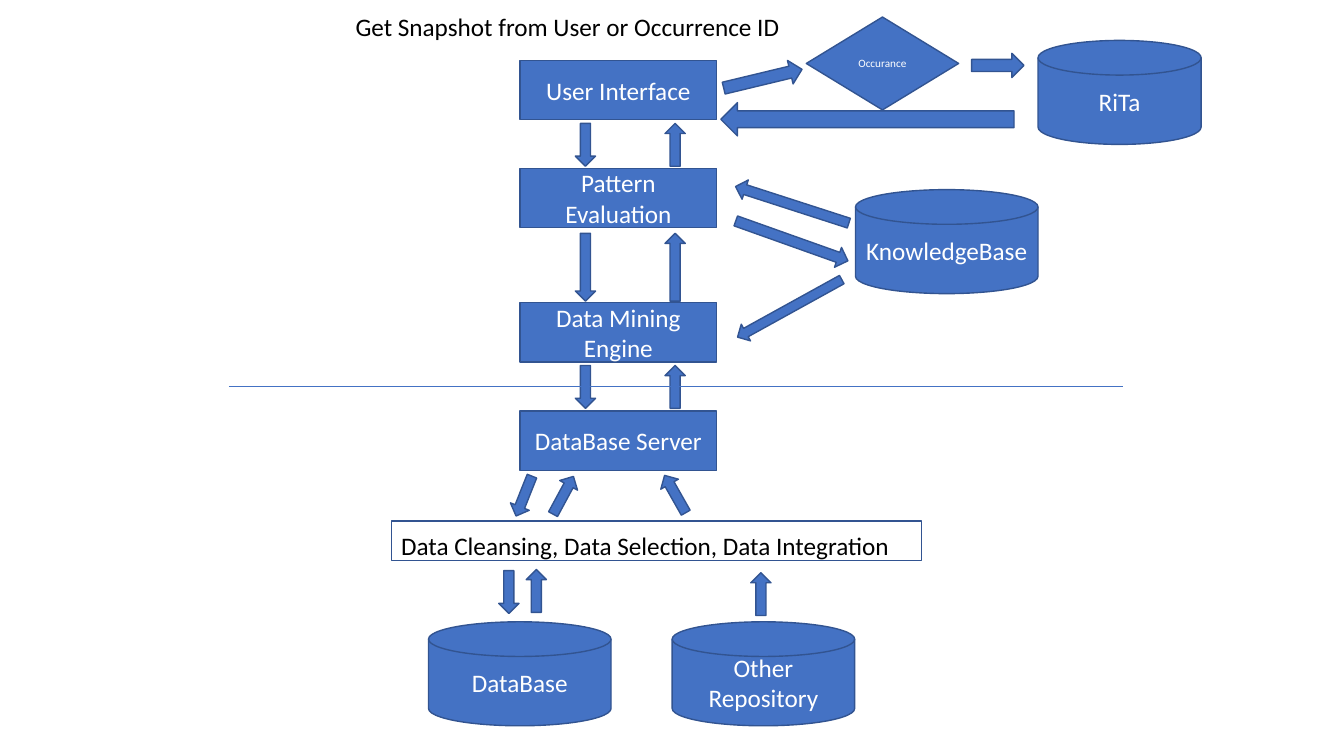
from lxml import etree
from pptx import Presentation
from pptx.dml.color import RGBColor
from pptx.enum.shapes import MSO_CONNECTOR, MSO_SHAPE
from pptx.enum.text import MSO_ANCHOR, PP_ALIGN
from pptx.oxml.ns import qn
from pptx.util import Cm, Pt

RECT, DIAMOND = MSO_SHAPE.RECTANGLE, MSO_SHAPE.DIAMOND
DISK = MSO_SHAPE.FLOWCHART_MAGNETIC_DISK
UP, DOWN = MSO_SHAPE.UP_ARROW, MSO_SHAPE.DOWN_ARROW
STRAIGHT = MSO_CONNECTOR.STRAIGHT
CENTER, LEFT = PP_ALIGN.CENTER, PP_ALIGN.LEFT
MIDDLE, TOP = MSO_ANCHOR.MIDDLE, MSO_ANCHOR.TOP

FONT = "Calibri"
BLUE, OUTLINE, WHITE, BLACK = "4472C4", "325491", "FFFFFF", "000000"
ARROW_W, ARROW_H = 0.51, 1.08


def rgb(color):
    return RGBColor.from_string(color)


def write(sp, text, color, size, align, anchor, wrap=True):
    tf = sp.text_frame
    tf.word_wrap = wrap
    tf.vertical_anchor = anchor
    p = tf.paragraphs[0]
    p.text = text
    p.alignment = align
    p.font.name = FONT
    p.font.size = Pt(size)
    p.font.color.rgb = rgb(color)


def add_node(s, kind, x, y, w, h, text="", size=18, fill=BLUE):
    sp = s.shapes.add_shape(kind, Cm(x), Cm(y), Cm(w), Cm(h))
    sp.shadow.inherit = False
    if fill:
        sp.fill.solid()
        sp.fill.fore_color.rgb = rgb(fill)
    else:
        sp.fill.background()
    sp.line.color.rgb = rgb(OUTLINE)
    sp.line.width = Pt(1)
    if text:
        write(sp, text, WHITE, size, CENTER, MIDDLE)
    return sp


def add_arrow(s, kind, x, y, w=ARROW_W, h=ARROW_H, angle=0):
    add_node(s, kind, x, y, w, h).rotation = angle


def add_label(s, x, y, w, h, text, wrap):
    sp = s.shapes.add_textbox(Cm(x), Cm(y), Cm(w), Cm(h))
    write(sp, text, BLACK, 18, LEFT, TOP, wrap)


def add_divider(s, x1, x2, y):
    line = s.shapes.add_connector(STRAIGHT, Cm(x1), Cm(y), Cm(x2), Cm(y))
    line.line.color.rgb = rgb(BLUE)
    line.line.width = Pt(0.5)
    etree.SubElement(line._element.spPr, qn("a:effectLst"))


def main():
    prs = Presentation()
    prs.slide_width, prs.slide_height = Cm(33.87), Cm(19.05)
    s = prs.slides.add_slide(prs.slide_layouts[6])

    # Central column of processing layers
    layers = [("User Interface", 1.52), ("Pattern Evaluation", 4.24),
              ("Data Mining Engine", 7.62), ("DataBase Server", 10.36)]
    for text, y in layers:
        add_node(s, RECT, 13.11, y, 4.95, 1.5, text)

    # Down and up arrows between neighbouring layers
    for y, h in [(3.11, ARROW_H), (5.88, 1.71), (9.21, ARROW_H)]:
        add_arrow(s, DOWN, 14.5, y, h=h)
        add_arrow(s, UP, 16.76, y, h=h)

    # Data stores
    stores = [("KnowledgeBase", 21.56, 4.78, 4.6), ("DataBase", 10.8, 15.67, 4.6),
              ("Other Repository", 16.94, 15.67, 4.6), ("RiTa", 26.16, 1.02, 4.11)]
    for text, x, y, w in stores:
        add_node(s, DISK, x, y, w, 2.62, text)

    # Arrows around the knowledge base
    for x, y, w, angle in [(19.69, 4.57, 0.53, 109.6), (19.71, 3.66, 0.51, 287.9),
                           (19.66, 6.27, 0.48, 241.1)]:
        add_arrow(s, UP, x, y, w, 3, angle)

    # Arrows above and below the preparation step
    for kind, x, y, angle in [(DOWN, 13.94, 11.94, 208.4), (UP, 16.76, 11.91, 330.4),
                              (UP, 12.95, 11.96, 201.7), (DOWN, 12.57, 14.38, 0),
                              (DOWN, 13.26, 14.35, 180), (DOWN, 18.92, 14.43, 180)]:
        add_arrow(s, kind, x, y, angle=angle)

    # Preparation step
    add_label(s, 9.86, 13.23, 12.95, 1.02,
              "Data Cleansing, Data Selection, Data Integration", wrap=False)
    add_node(s, RECT, 9.86, 13.13, 13.36, 0.99, fill=None)

    # Line between the engine and the server
    add_divider(s, 5.77, 28.3, 9.73)

    # Occurrence lookup
    add_label(s, 8.71, 0.15, 11.89, 1.02,
              "Get Snapshot from User or Occurrence ID", wrap=True)
    add_node(s, DIAMOND, 20.32, 0.43, 3.84, 2.34, "Occurance", 8)
    add_arrow(s, UP, 18.92, 0.97, 0.61, 2.03, 76.5)
    add_arrow(s, UP, 24.84, 0.99, 0.61, 1.32, 90)
    add_arrow(s, UP, 21.44, -0.69, 0.84, 7.39, 270)

    prs.save("out.pptx")


main()
